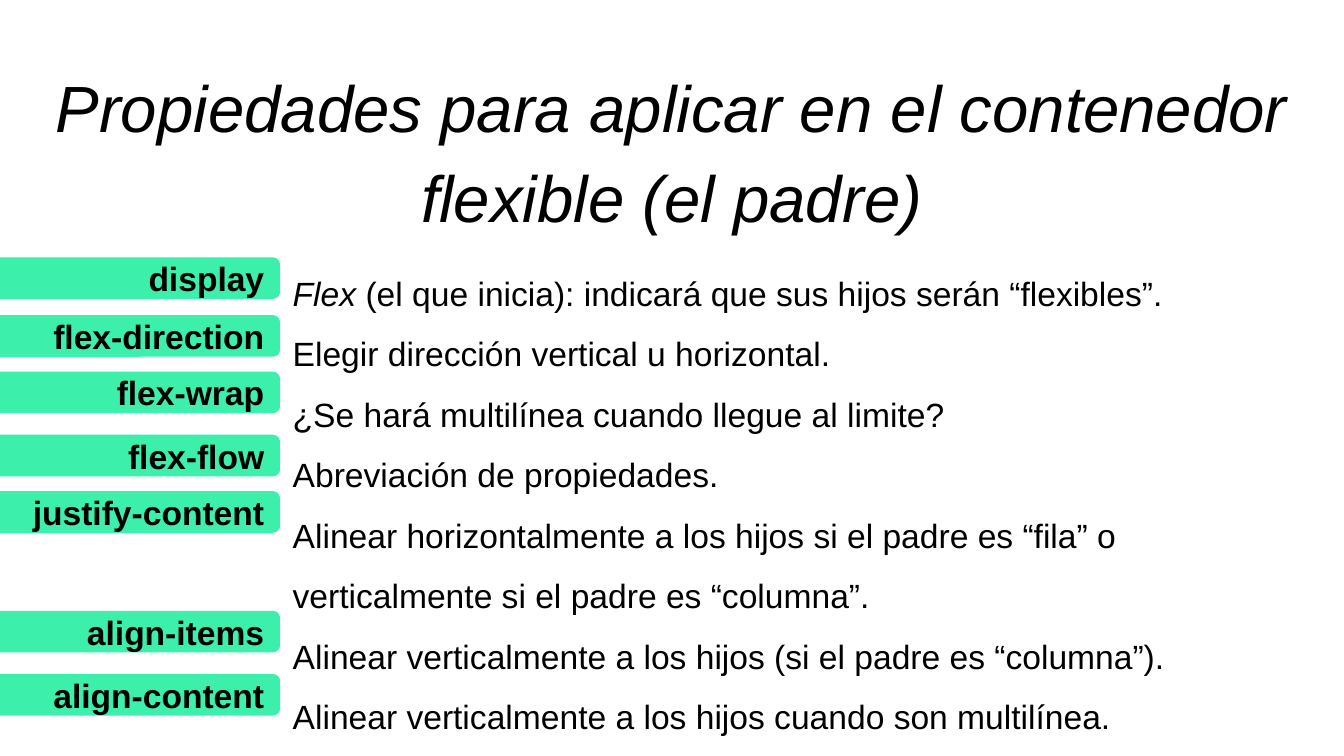
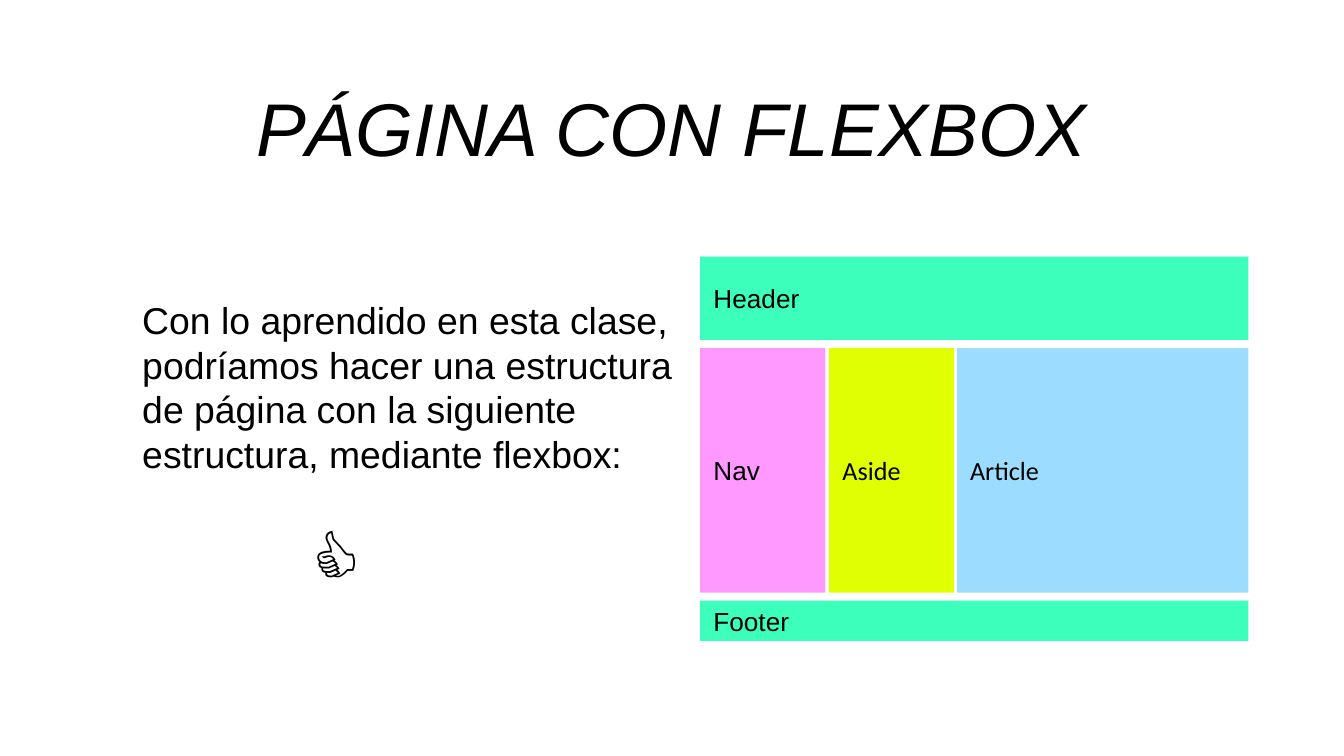
from lxml import etree
from pptx import Presentation
from pptx.dml.color import RGBColor
from pptx.enum.shapes import MSO_SHAPE
from pptx.enum.text import MSO_ANCHOR, PP_ALIGN
from pptx.oxml.ns import qn
from pptx.util import Inches, Pt

RECTANGLE, ROUNDED = MSO_SHAPE.RECTANGLE, MSO_SHAPE.ROUNDED_RECTANGLE
LEFT, CENTER, RIGHT = PP_ALIGN.LEFT, PP_ALIGN.CENTER, PP_ALIGN.RIGHT
TOP, MIDDLE = MSO_ANCHOR.TOP, MSO_ANCHOR.MIDDLE

BLACK = "000000"
LABEL_GREEN = "3CEFAB"
BAND_GREEN = "3DFFBC"
MAGENTA = "FF00FF"
YELLOW = "E0FF00"
SKY = "9CDCFE"


def colour(hex_code):
    return RGBColor.from_string(hex_code)


def write(box, paragraphs, size, align=LEFT, anchor=TOP, spacing=1.0,
          bold=False, font="Arial"):
    """Fill a box with paragraphs, each a list of (text, italic) runs."""
    frame = box.text_frame
    frame.word_wrap = True
    frame.vertical_anchor = anchor
    frame.margin_left = frame.margin_right = Inches(0.1)
    frame.margin_top = frame.margin_bottom = Inches(0.1)
    for index, runs in enumerate(paragraphs):
        para = frame.add_paragraph() if index else frame.paragraphs[0]
        para.alignment = align
        para.line_spacing = spacing
        for text, italic in runs:
            span = para.add_run()
            span.text = text
            span.font.name = font
            span.font.size = Pt(size)
            span.font.bold = bold
            span.font.italic = italic
            span.font.color.rgb = colour(BLACK)


deck = Presentation()
deck.slide_width = Inches(10)
deck.slide_height = Inches(10 * 9 / 16)

# Both pages open with a centred italic title
titles = [
    ("Propiedades para aplicar en el contenedor flexible (el padre)",
     35, 0, 0.31, 10, 0.52),
    ("PÁGINA CON FLEXBOX", 40, 1.1, 0.41, 7.79, 0.76),
]
pages = []
for text, size, *place in titles:
    page = deck.slides.add_slide(deck.slide_layouts[6])
    box = page.shapes.add_textbox(*map(Inches, place))
    write(box, [[(text, True)]], size, CENTER, spacing=1.15)
    pages.append(page)
properties_page, layout_page = pages

# Page 1: descriptions beside the property labels
descriptions = [
    [("Flex ", True),
     ("(el que inicia): indicará que sus hijos serán “flexibles”.", False)],
    [("Elegir dirección vertical u horizontal.", False)],
    [("¿Se hará multilínea cuando llegue al limite?", False)],
    [("Abreviación de propiedades.", False)],
    [("Alinear horizontalmente a los hijos si el padre es “fila” o "
      "verticalmente si el padre es “columna”.", False)],
    [("Alinear verticalmente a los hijos (si el padre es “columna”).", False)],
    [("Alinear verticalmente a los hijos cuando son multilínea.", False)],
]
box = properties_page.shapes.add_textbox(
    Inches(2.08), Inches(1.78), Inches(7.76), Inches(3.04))
write(box, descriptions, 18, spacing=1.5)

property_tops = {
    "display": 1.92,
    "flex-direction": 2.35,
    "flex-wrap": 2.77,
    "flex-flow": 3.24,
    "justify-content": 3.66,
    "align-items": 4.55,
    "align-content": 5.02,
}
for name, top in property_tops.items():
    label = properties_page.shapes.add_shape(
        ROUNDED, Inches(-0.6), Inches(top), Inches(2.68), Inches(0.3))
    label.shadow.inherit = False
    label.fill.solid()
    label.fill.fore_color.rgb = colour(LABEL_GREEN)
    label.line.color.rgb = colour(LABEL_GREEN)
    label.line.width = Pt(0.75)
    write(label, [[(name, False)]], 18, RIGHT, MIDDLE, bold=True)

# Page 2: introduction and the sketch of a web page
box = layout_page.shapes.add_textbox(
    Inches(0.96), Inches(2.11), Inches(4.25), Inches(1.26))
write(box, [[("Con lo aprendido en esta clase, podríamos hacer una estructura "
              "de página con la siguiente estructura, mediante flexbox:",
              False)]], 20)

sections = [
    ("Header", BAND_GREEN, "Arial", 5.21, 1.91, 4.08, 0.62),
    ("Nav", MAGENTA, "Arial", 5.21, 2.59, 0.93, 1.82),
    ("Aside", YELLOW, "Calibri", 6.17, 2.59, 0.93, 1.82),
    ("Article", SKY, "Calibri", 7.12, 2.59, 2.17, 1.82),
    ("Footer", BAND_GREEN, "Arial", 5.21, 4.47, 4.08, 0.3),
]
for name, fill, font, *place in sections:
    section = layout_page.shapes.add_shape(RECTANGLE, *map(Inches, place))
    section.shadow.inherit = False
    section.fill.solid()
    section.fill.fore_color.rgb = colour(fill)
    section.line.fill.background()
    write(section, [[(name, False)]], 14, anchor=MIDDLE, font=font)
    if name == "Nav":
        tint = section.element.spPr.find(qn("a:solidFill"))[0]
        etree.SubElement(tint, qn("a:alpha"), val="40000")

thumb = layout_page.shapes.add_textbox(
    Inches(2.22), Inches(3.71), Inches(1.3), Inches(0.88))
write(thumb, [[("👍", False)]], 40)

deck.save("out.pptx")
